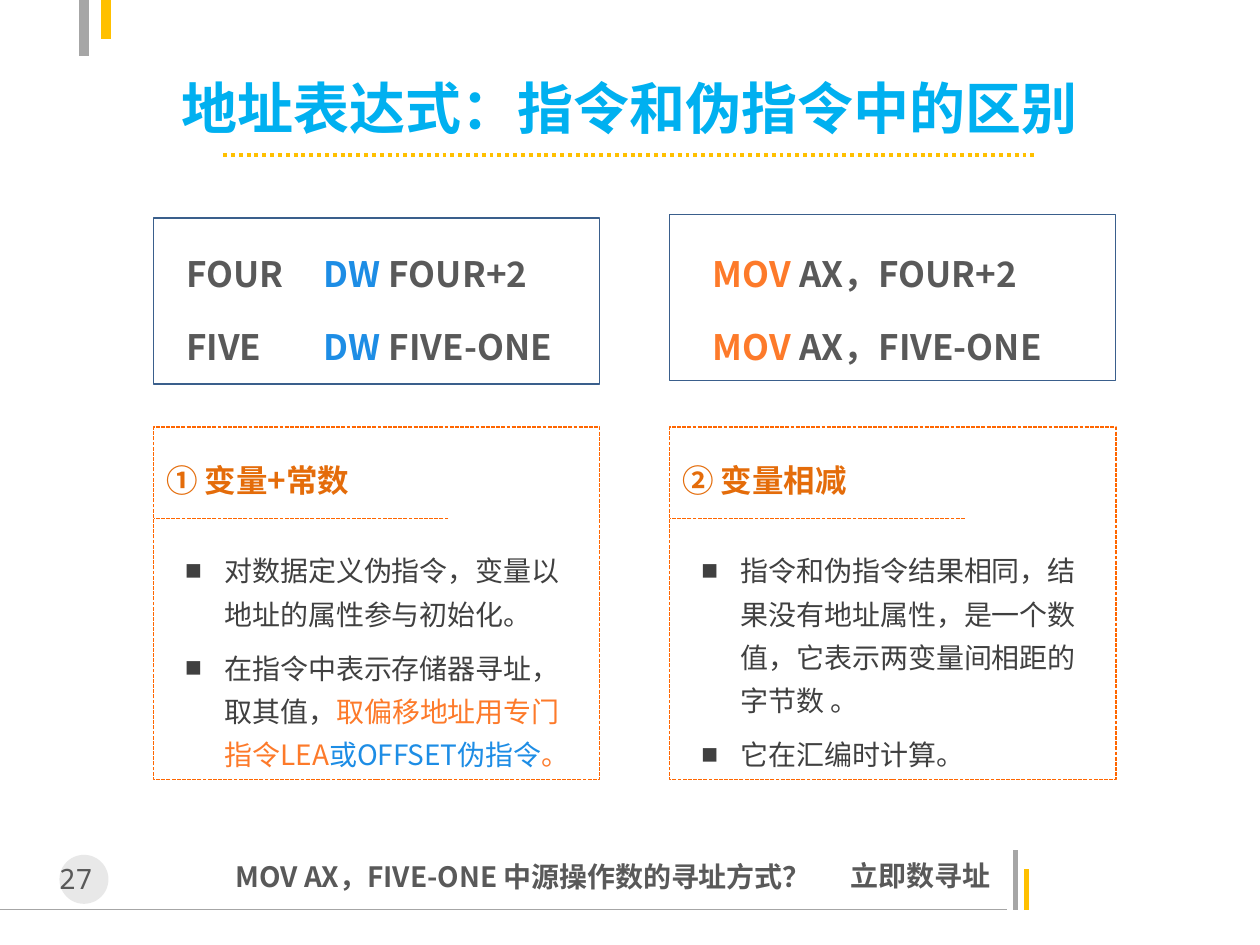
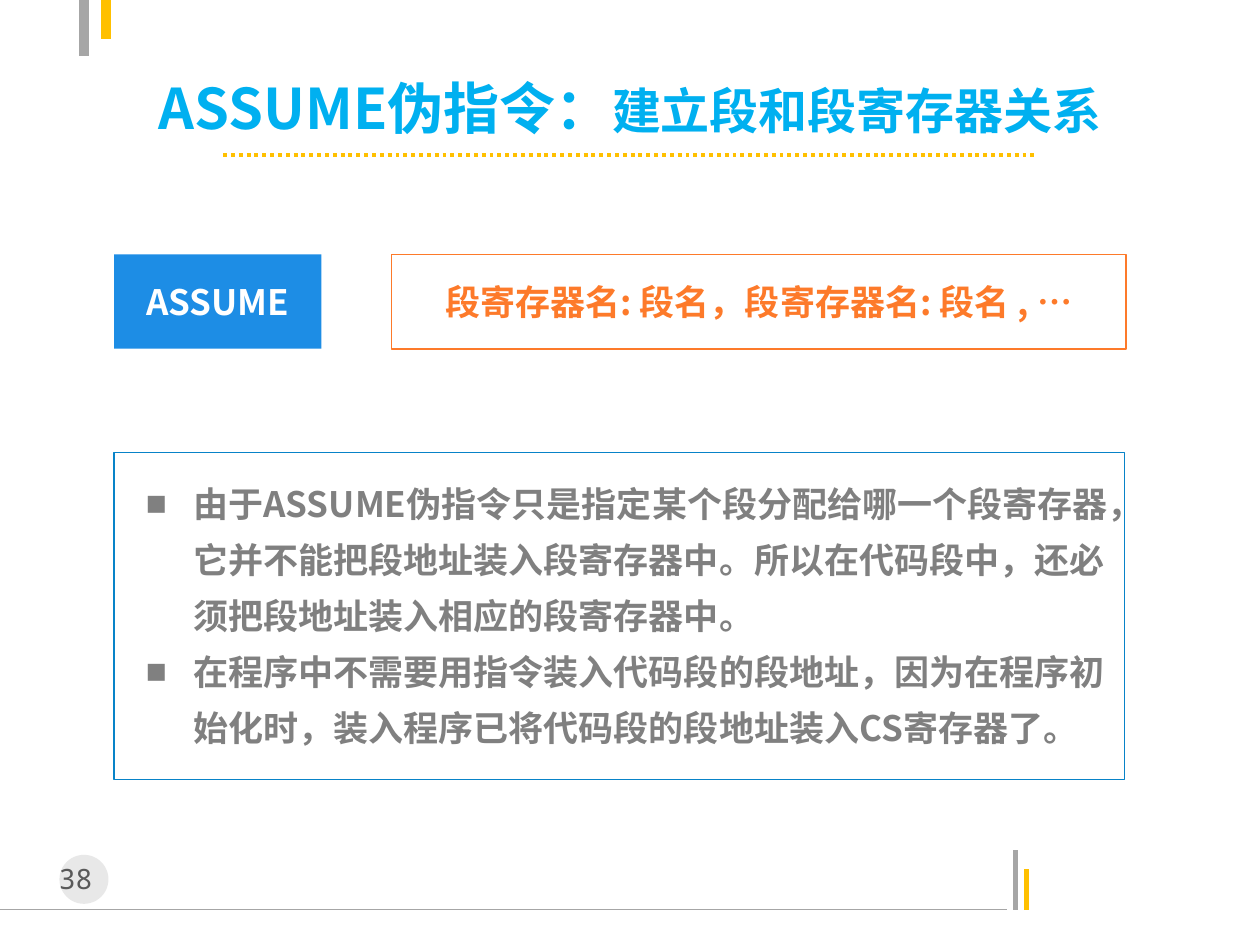
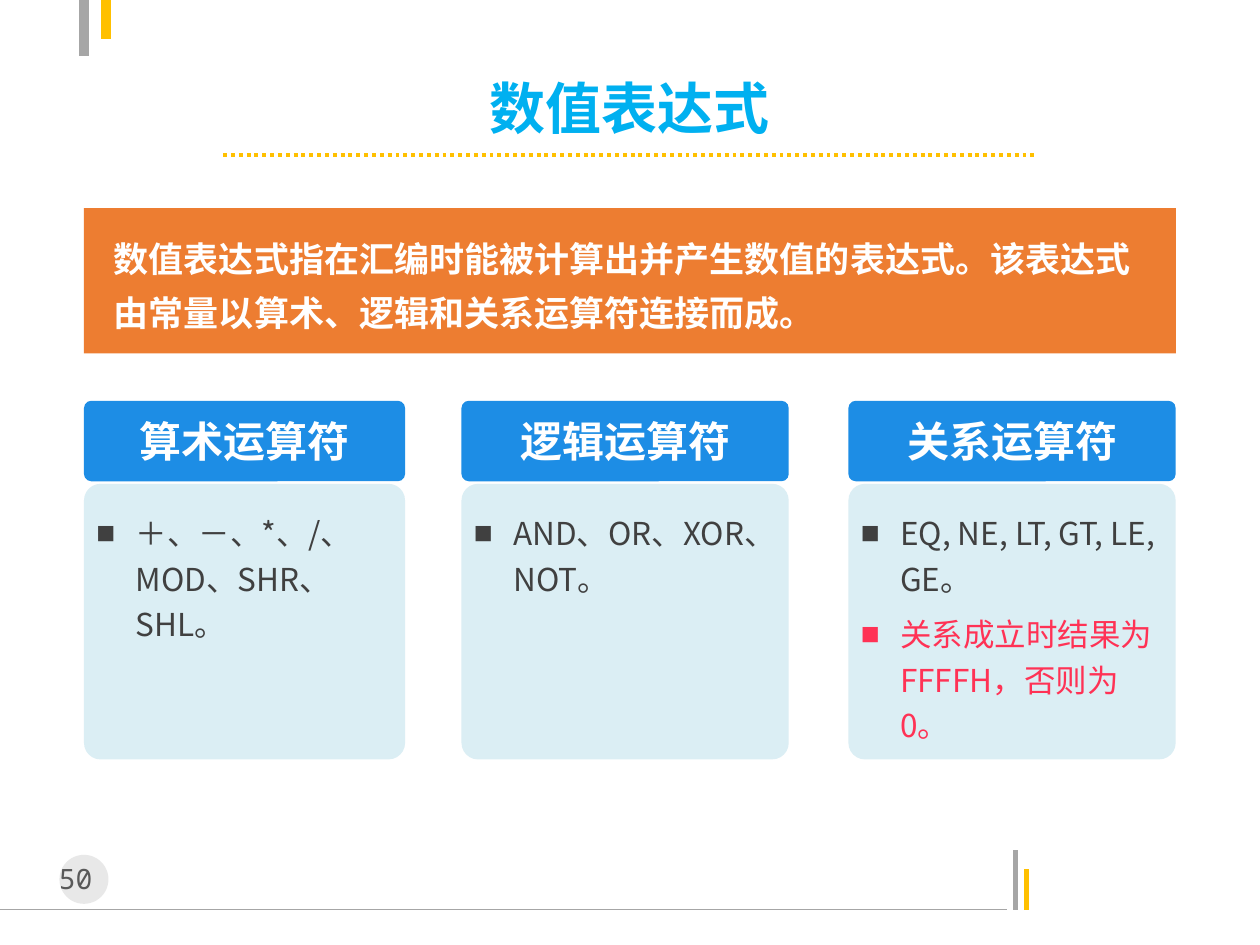
from pptx import Presentation
from pptx.dml.color import RGBColor
from pptx.enum.dml import MSO_LINE
from pptx.enum.shapes import MSO_CONNECTOR, MSO_SHAPE
from pptx.enum.text import MSO_ANCHOR, MSO_AUTO_SIZE, PP_ALIGN
from pptx.oxml.ns import qn
from pptx.util import Pt
from lxml.etree import SubElement

HUES = {
    "title": "00B0F0", "gold": "FFC000", "rule": "A6A6A6", "disc": "BFBFBF",
    "text": "595959", "body": "404040", "grey": "808080", "white": "FFFFFF",
    "blue": "1D8DE5", "orange": "FD7A2A", "head": "E46C0A", "dash": "FF6600",
    "navy": "3A5F8C", "frame": "0883C8", "pale": "DBEEF4", "banner": "ED7D31",
    "red": "FF3255",
}
SANS = "Noto Sans CJK SC"
MONO = "Noto Sans Mono"


def hue(name):
    return RGBColor.from_string(HUES[name])


def set_bullet(par, indent):
    props = par._p.get_or_add_pPr()
    props.set("marL", str(Pt(indent)))
    props.set("indent", str(-Pt(indent)))
    SubElement(props, qn("a:buFont")).set("typeface", MONO)
    SubElement(props, qn("a:buChar")).set("char", "■")


def add_run(par, words, size, color, bold, font):
    run = par.add_run()
    run.text = words
    run.font.size = Pt(size)
    run.font.bold = bold
    run.font.name = font
    run.font.color.rgb = hue(color)
    SubElement(run._r.get_or_add_rPr(), qn("a:ea")).set("typeface", font)


def write(shape, *pars, size=16, color="text", bold=False, font=SANS,
          align=PP_ALIGN.LEFT, anchor=MSO_ANCHOR.TOP,
          lines=1, gap=0, indent=0):
    frame = shape.text_frame
    frame.word_wrap = True
    frame.vertical_anchor = anchor
    for i, runs in enumerate(pars):
        par = frame.add_paragraph() if i else frame.paragraphs[0]
        par.alignment = align
        par.line_spacing = lines
        if i and gap:
            par.space_before = Pt(gap)
        if indent:
            set_bullet(par, indent)
        for part in [(runs,)] if isinstance(runs, str) else runs:
            words, tint, big = (*part, None, None)[:3]
            add_run(par, words, big or size, tint or color, bold, font)


def add_text(slide, box, *pars, grow=True, **style):
    shape = slide.shapes.add_textbox(*map(Pt, box))
    write(shape, *pars, **style)
    if grow:
        shape.text_frame.auto_size = MSO_AUTO_SIZE.SHAPE_TO_FIT_TEXT


def add_box(slide, box, kind=MSO_SHAPE.RECTANGLE, fill=None, line=None,
            dash=None, curve=None):
    shape = slide.shapes.add_shape(kind, *map(Pt, box))
    shape.shadow.inherit = False
    if curve is not None:
        shape.adjustments[0] = curve
    if fill:
        shape.fill.solid()
        shape.fill.fore_color.rgb = hue(fill)
    else:
        shape.fill.background()
    if line:
        shape.line.color.rgb = hue(line)
        shape.line.width = Pt(0.75)
        shape.line.dash_style = dash
    else:
        shape.line.fill.background()
    return shape


def add_line(slide, ends, color, width, dash=None):
    link = slide.shapes.add_connector(MSO_CONNECTOR.STRAIGHT, *map(Pt, ends))
    link.line.color.rgb = hue(color)
    link.line.width = Pt(width)
    link.line.dash_style = dash
    SubElement(link._element.spPr, qn("a:effectLst"))


def add_base(deck, page, *title):
    slide = deck.slides.add_slide(deck.slide_layouts[6])
    for ends, color, width in (
        ((0, 519.8, 575.3, 519.8), "rule", 0.75),
        ((580.3, 519.8, 580.3, 485.5), "rule", 3),
        ((586.8, 519.8, 586.8, 496.8), "gold", 3),
        ((48, 32, 48, -2), "rule", 6),
        ((60.5, 0, 60.5, 22.5), "gold", 6),
    ):
        add_line(slide, ends, color, width)
    disc = add_box(slide, (34, 488.5, 28, 28), MSO_SHAPE.OVAL, "disc")
    tint = disc._element.spPr.find(qn("a:solidFill"))[0]
    SubElement(tint, qn("a:alpha")).set("val", "35000")
    add_text(slide, (22.5, 489, 51, 26.5), f"{page} ", font=MONO,
             align=PP_ALIGN.CENTER)
    add_text(slide, (60, 43, 600, 36), list(title), size=32, color="title",
             bold=True, align=PP_ALIGN.CENTER, anchor=MSO_ANCHOR.MIDDLE,
             grow=False)
    add_line(slide, (127.5, 88.5, 592.5, 88.5), "gold", 2.25,
             MSO_LINE.ROUND_DOT)
    return slide


def add_card(slide, left, head, width, *points):
    dash = MSO_LINE.SQUARE_DOT
    add_box(slide, (left, 244, 255, 201.5), line="dash", dash=dash)
    add_text(slide, (left, 260, 153.5, 27), head, size=18, color="head",
             bold=True)
    add_line(slide, (left + 168.5, 296.5, left, 296.5), "dash", 0.75, dash)
    add_text(slide, (left + 11, 307.5, width, 138), *points, color="body",
             lines=1.29, gap=6, indent=22.5)


def add_group(slide, left, width, head, *points):
    kind = MSO_SHAPE.ROUNDED_RECTANGLE
    add_box(slide, (left, 276.5, width, 157.5), kind, "pale", curve=0.06)
    cap = add_box(slide, (left, 229, width, 46), kind, "blue", curve=0.09)
    write(cap, head, size=24, color="white", bold=True, font="Calibri",
          align=PP_ALIGN.CENTER, anchor=MSO_ANCHOR.MIDDLE)
    add_text(slide, (left, 286, width, 86), *points, size=18, color="body",
             lines=1.2, gap=6, indent=22.5)


def add_label(slide, box, words, color, **look):
    write(add_box(slide, box, **look), words, size=20, color=color, bold=True,
          align=PP_ALIGN.CENTER, anchor=MSO_ANCHOR.MIDDLE)


def draw_address(deck):
    slide = add_base(deck, 27, ("地址表达式：指令和伪指令中的区别",))
    code = dict(size=20, bold=True, lines=1.29)
    for i, (name, value) in enumerate((("FOUR", "FOUR+2"),
                                       ("FIVE", "FIVE-ONE"))):
        top = 134 + 41.7 * i
        add_text(slide, (99.3, top, 90, 39), name, **code)
        add_text(slide, (178, top, 164, 39),
                 [("DW", "blue"), (f" {value}",)], **code)
        add_text(slide, (400.3, top, 226, 39),
                 [("MOV ", "orange"), (f"AX，{value}",)], **code)
    add_box(slide, (87.8, 124.5, 255, 95), line="navy")
    add_box(slide, (382.5, 122.5, 255, 95), line="navy")
    add_card(slide, 87.8, "① 变量+常数", 243.5,
             "对数据定义伪指令，变量以地址的属性参与初始化。",
             [("在指令中表示存储器寻址，取其值，",),
              ("取偏移地址用专门指令LEA", "orange"),
              ("或OFFSET伪指令", "blue"), ("。", "orange")])
    add_card(slide, 382.8, "② 变量相减", 230,
             "指令和伪指令结果相同，结果没有地址属性，是一个数值，"
             "它表示两变量间相距的字节数 。",
             "它在汇编时计算。")
    add_text(slide, (127.5, 484, 370, 30),
             "MOV AX，FIVE-ONE 中源操作数的寻址方式？", bold=True, lines=1.2)
    add_text(slide, (479, 483, 114, 29), "立即数寻址", bold=True, lines=1.2)


def draw_assume(deck):
    slide = add_base(deck, 38, ("ASSUME伪指令：",),
                     ("建立段和段寄存器关系", None, 28))
    add_label(slide, (223.5, 145.5, 420, 54),
              "段寄存器名: 段名，段寄存器名: 段名 , …", "orange", line="orange")
    add_label(slide, (65.2, 145.3, 118.5, 54), "ASSUME", "white", fill="blue")
    add_box(slide, (65.2, 258.5, 577.5, 187), line="frame")
    add_text(slide, (76.3, 264.5, 567, 168.5),
             "由于ASSUME伪指令只是指定某个段分配给哪一个段寄存器，"
             "它并不能把段地址装入段寄存器中。所以在代码段中，"
             "还必须把段地址装入相应的段寄存器中。",
             "在程序中不需要用指令装入代码段的段地址，因为在程序初始化时，"
             "装入程序已将代码段的段地址装入CS寄存器了。",
             size=20, color="grey", bold=True, lines=1.33, indent=27)


def draw_number(deck):
    slide = add_base(deck, 50, ("数值表达式",))
    add_box(slide, (48, 119, 624, 83), fill="banner")
    add_text(slide, (58, 125, 604, 70),
             "数值表达式指在汇编时能被计算出并产生数值的表达式。"
             "该表达式由常量以算术、逻辑和关系运算符连接而成。",
             size=20, color="white", bold=True, lines=1.29)
    add_group(slide, 48, 183.5, "算术运算符", "＋、－、*、/、MOD、SHR、SHL。")
    add_group(slide, 263.7, 187, "逻辑运算符", "AND、OR、XOR、NOT。")
    add_group(slide, 484.8, 187, "关系运算符", "EQ, NE, LT, GT, LE, GE。",
              [("关系成立时结果为FFFFH，否则为0。", "red")])


def main():
    deck = Presentation()
    deck.slide_width, deck.slide_height = Pt(720), Pt(540)
    draw_address(deck)
    draw_assume(deck)
    draw_number(deck)
    deck.save("out.pptx")


if __name__ == "__main__":
    main()
